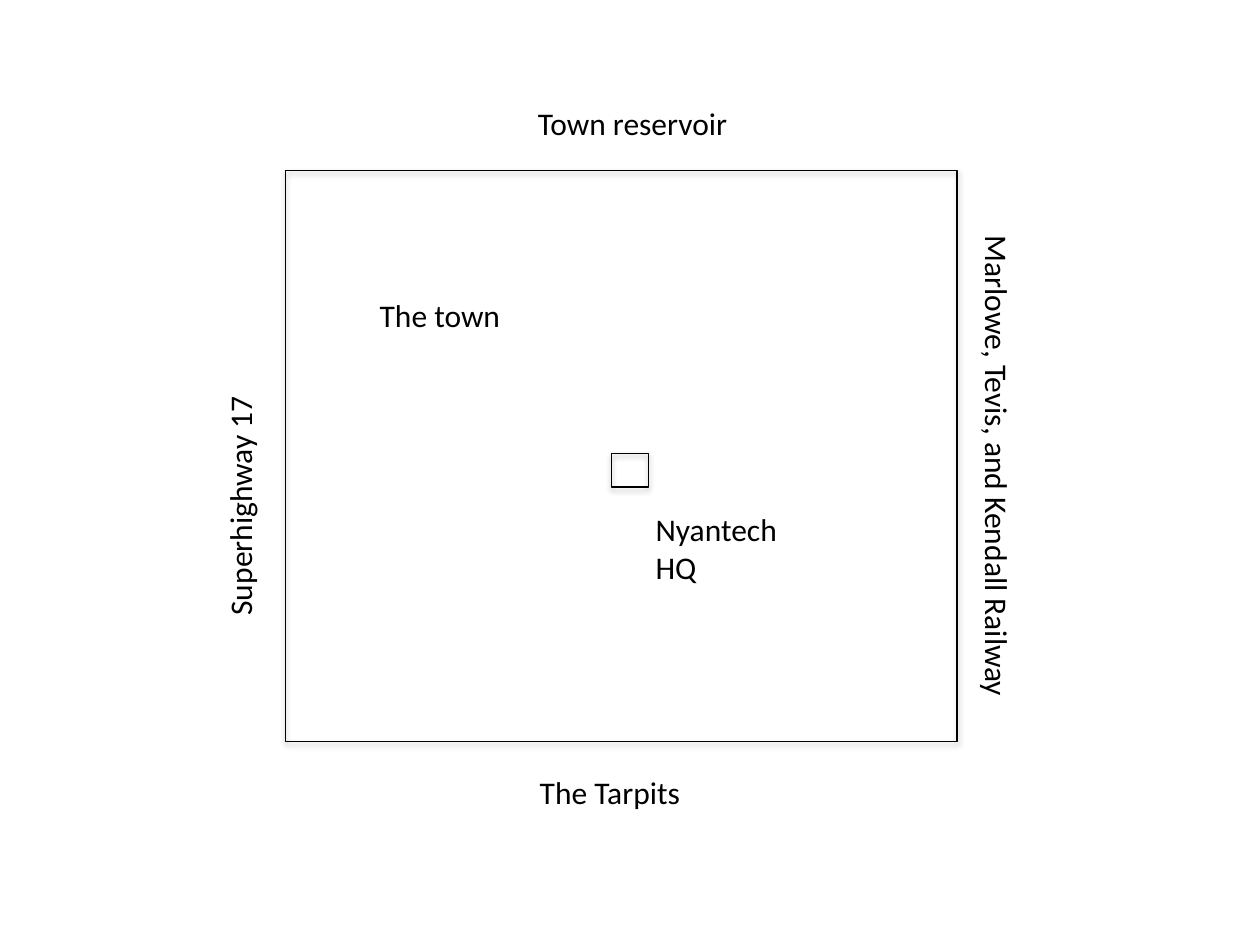
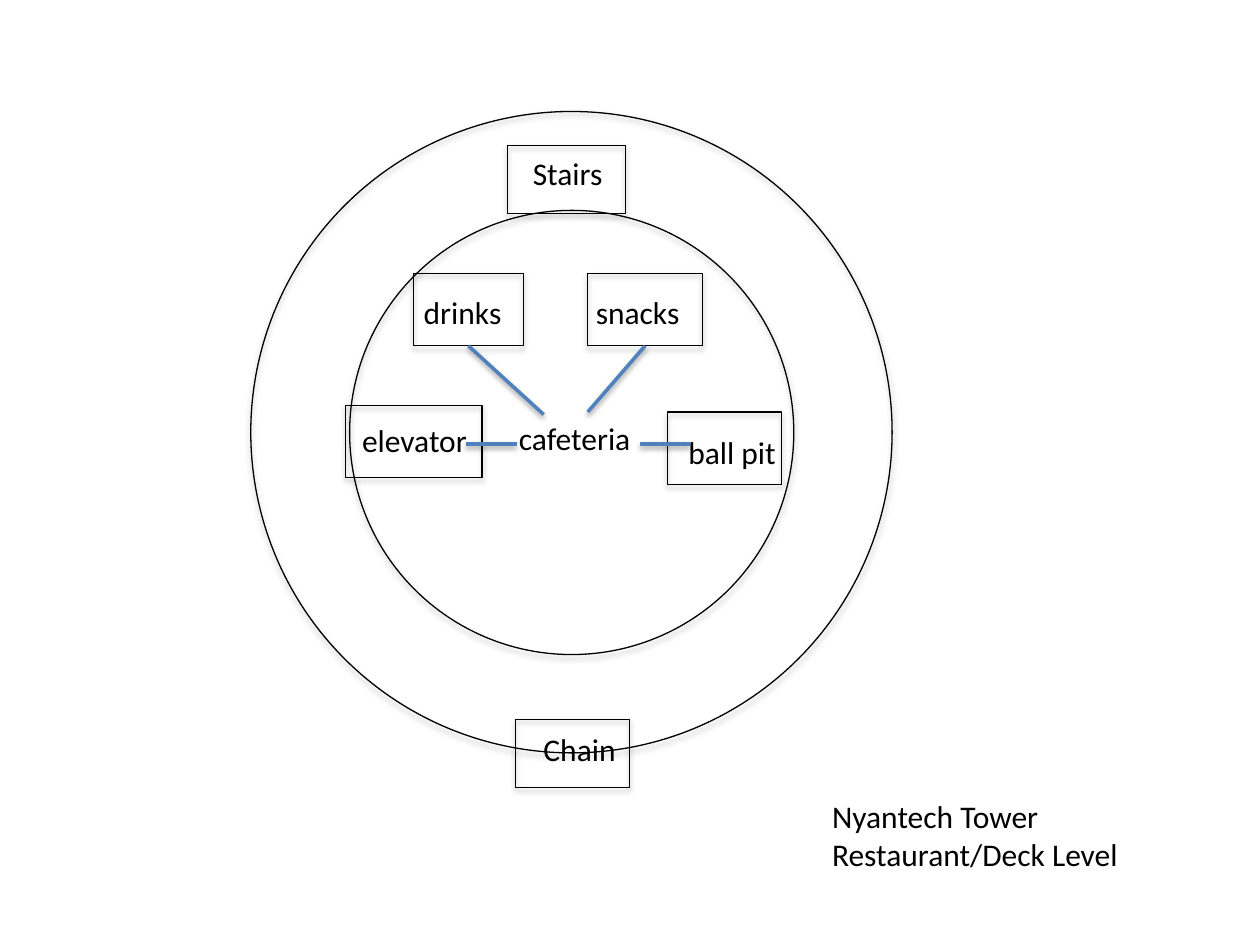
"""Draw the town map and the deck-level plan of Nyantech Tower."""
from dataclasses import dataclass
from typing import Any

from pptx import Presentation
from pptx import util as u
from pptx.dml.color import RGBColor
from pptx.enum import shapes, text
from pptx.oxml.xmlchemy import OxmlElement

COLS, ROWS = 100, 75
CELL = u.Inches(10) // COLS
BLACK = RGBColor(0x00, 0x00, 0x00)
BLUE = RGBColor(0x4F, 0x81, 0xBD)
RECT = shapes.MSO_SHAPE.RECTANGLE
OVAL = shapes.MSO_SHAPE.OVAL
LEFT, MID = text.PP_ALIGN.LEFT, text.PP_ALIGN.CENTER
BOTTOM = 2
FONT = {"name": "Calibri", "size": u.Pt(18)}
FRAME = {"word_wrap": False, "auto_size": text.MSO_AUTO_SIZE.SHAPE_TO_FIT_TEXT}
LINE_ROWS, PAD_ROWS = 3.05, 1


@dataclass
class Box:
    key: str
    col: float
    row: float
    wide: float
    high: float
    kind: Any = RECT


@dataclass
class Label:
    words: str
    col: float
    row: float
    wide: float
    turn: int = 0
    align: Any = LEFT


@dataclass
class Link:
    start: tuple[float, float]
    end: tuple[float, float]
    box: str = ""


TOWN = [
    Box("town", 22.65, 13.55, 53.3, 45.3),
    Box("tower", 48.55, 36, 2.9, 2.65),
    Label("The town", 29.15, 23, 11.7),
    Label("Nyantech\nHQ", 51.05, 40, 11.8),
    Label("Superhighway 17", 9.2, 37.95, 19.7, turn=270),
    Label("Town reservoir", 41.7, 7.8, 17.5),
    Label("Marlowe, Tevis, and Kendall Railway", 59.65, 35.2, 39, turn=90),
    Label("The Tarpits", 41.85, 60.85, 13.5),
]

DECK = [
    Box("stairs", 40.3, 11.55, 9.35, 5.4),
    Box("ball pit", 52.95, 32.7, 9.1, 5.75),
    Label("elevator", 27.75, 32.9, 10.5),
    Label("ball pit", 53.55, 33.85, 9.1, align=MID),
    Label("Stairs", 41.2, 11.7, 7.7, align=MID),
    Box("inner ring", 27.75, 16.7, 35.25, 35.25, OVAL),
    Box("drinks", 32.8, 21.7, 8.75, 5.75),
    Box("snacks", 46.65, 21.7, 9.1, 5.75),
    Box("elevator", 27.4, 32.2, 10.85, 5.7),
    Label("drinks", 32.65, 22.8, 8.3),
    Label("snacks", 46.3, 22.8, 8.8),
    Label("cafeteria", 40.2, 32.8, 11.1),
    Link((37, 35.25), (41, 35.25)),
    Link((50.8, 35.25), (54.8, 35.25)),
    Link((37.2, 27.4), (43.15, 32.9), "drinks"),
    Link((51.2, 27.4), (46.65, 32.7), "snacks"),
    Box("outer ring", 19.9, 8.85, 50.9, 50.9, OVAL),
    Label("Nyantech Tower\nRestaurant/Deck Level", 65.05, 62.75, 25.1),
    Box("chain", 40.9, 57.1, 9.05, 5.4),
    Label("Chain", 42.15, 57.45, 7.8),
]


def grid(*cells: float) -> list[int]:
    """Turn columns or rows into lengths."""
    return [round(cell * CELL) for cell in cells]


def apply(target: Any, values: dict[str, Any]) -> None:
    """Set each format value on the target."""
    for key, value in values.items():
        setattr(target, key, value)


def nest(parent: Any, tag: str, **values: Any) -> Any:
    """Add a child element with the given attributes."""
    child = OxmlElement(tag)
    for key, value in values.items():
        child.set(key, str(value))
    parent.append(child)
    return child


def shade(shape: Any, drop: float, alpha: int) -> None:
    """Cast a soft black shadow straight down."""
    glow = nest(nest(shape.element.spPr, "a:effectLst"), "a:outerShdw",
                blurRad=u.Pt(3.15), dist=u.Pt(drop), dir=90 * 60000,
                rotWithShape=0)
    tint = nest(glow, "a:srgbClr", val=BLACK)
    nest(tint, "a:alpha", val=alpha * 1000)


def stroke(line: Any, color: RGBColor, width: float) -> None:
    """Set the colour and the width of a line."""
    line.color.rgb = color
    line.width = u.Pt(width)


def draw_box(slide: Any, box: Box) -> Any:
    """Draw an open outline with a shadow."""
    shape = slide.shapes.add_shape(
        box.kind, *grid(box.col, box.row, box.wide, box.high))
    shape.fill.background()
    stroke(shape.line, BLACK, 0.75)
    shade(shape, 1.8, 35)
    return shape


def draw_label(slide: Any, label: Label) -> None:
    """Write one label, turned if need be."""
    lines = label.words.split("\n")
    high = LINE_ROWS * len(lines) + PAD_ROWS
    shape = slide.shapes.add_textbox(
        *grid(label.col, label.row, label.wide, high))
    shape.rotation = label.turn
    frame = shape.text_frame
    frame.text = label.words
    apply(frame, FRAME)
    for para in frame.paragraphs:
        para.alignment = label.align
        for run in para.runs:
            apply(run.font, FONT)
            run.font.color.rgb = BLACK


def draw_link(slide: Any, link: Link, boxes: dict[str, Any]) -> None:
    """Draw a blue line, joined to its box if it has one."""
    line = slide.shapes.add_connector(
        shapes.MSO_CONNECTOR.STRAIGHT, *grid(*link.start, *link.end))
    if link.box:
        line.begin_connect(boxes[link.box], BOTTOM)
    stroke(line.line, BLUE, 2)
    shade(line, 1.6, 38)


def draw_plan(deck: Any, parts: list[Box | Label | Link]) -> None:
    """Add a blank slide and draw its parts in order."""
    slide = deck.slides.add_slide(deck.slide_layouts[6])
    boxes: dict[str, Any] = {}
    for part in parts:
        if isinstance(part, Box):
            boxes[part.key] = draw_box(slide, part)
        elif isinstance(part, Label):
            draw_label(slide, part)
        else:
            draw_link(slide, part, boxes)


def main() -> None:
    """Build and save both plans."""
    deck = Presentation()
    apply(deck, {"slide_width": COLS * CELL, "slide_height": ROWS * CELL})
    for parts in (TOWN, DECK):
        draw_plan(deck, parts)
    deck.save("out.pptx")


if __name__ == "__main__":
    main()
